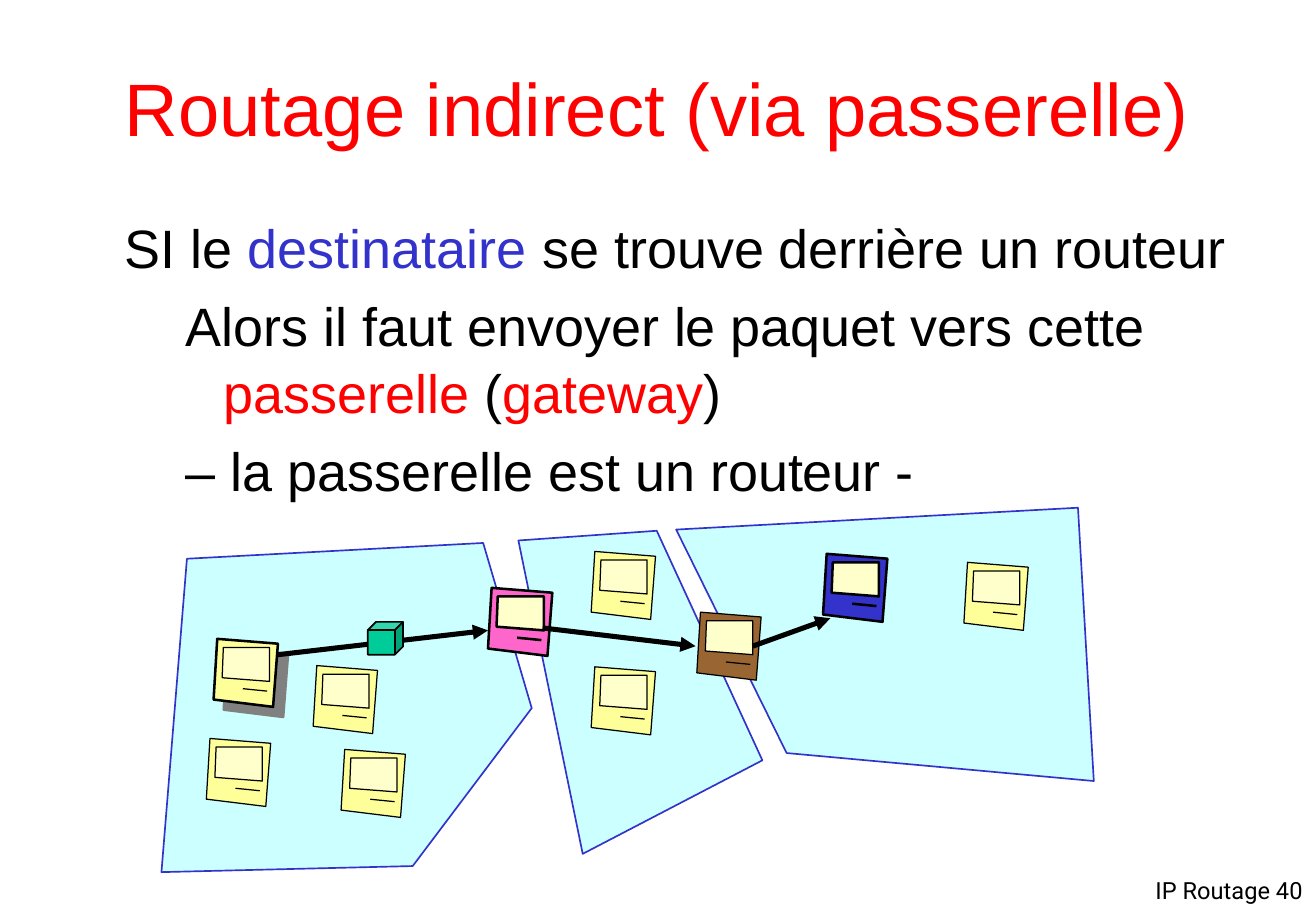
from lxml.etree import SubElement
from pptx import Presentation
from pptx.dml.color import RGBColor
from pptx.enum.shapes import MSO_CONNECTOR, MSO_SHAPE
from pptx.enum.text import MSO_ANCHOR, PP_ALIGN
from pptx.oxml.ns import qn
from pptx.util import Inches, Pt

COLORS = {
    "black": "000000", "red": "FF0000", "blue": "3333CC", "zone": "CCFFFF",
    "yellow": "FFFF99", "screen": "FFFFCC", "brown": "996633",
    "pink": "FF66CC", "green": "00CC99", "shade": "808080",
}


class Board:
    """Draw styled text and network parts on one slide."""

    def __init__(self, slide):
        self.slide = slide
        self.shapes = slide.shapes

    def color(self, name):
        return RGBColor.from_string(COLORS[name])

    def paint(self, shape, fill, line, width):
        shape.shadow.inherit = False
        shape.fill.solid()
        shape.fill.fore_color.rgb = self.color(fill)
        shape.line.color.rgb = self.color(line)
        shape.line.width = Pt(width)
        return shape

    def text(self, box, paras, size, font="Arial", align=PP_ALIGN.LEFT,
             anchor=MSO_ANCHOR.TOP, spacing=1.0):
        frame = self.shapes.add_textbox(*map(Inches, box)).text_frame
        frame.word_wrap = True
        frame.vertical_anchor = anchor
        for i, (margin, indent, before, runs) in enumerate(paras):
            para = frame.add_paragraph() if i else frame.paragraphs[0]
            para.alignment = align
            para.line_spacing = spacing
            if before:
                para.space_before = Pt(before)
            props = para._p.get_or_add_pPr()
            props.set("marL", str(Inches(margin)))
            props.set("indent", str(Inches(indent)))
            for words, color in runs:
                run = para.add_run()
                run.text = words
                run.font.size = Pt(size)
                run.font.name = font
                run.font.color.rgb = self.color(color)

    def outline(self, points, fill, line="black", width=0.75):
        spots = [(Inches(x), Inches(y)) for x, y in points]
        build = self.shapes.build_freeform(*spots[0], scale=1.0)
        build.add_line_segments(spots[1:], close=True)
        return self.paint(build.convert_to_shape(), fill, line, width)

    def line(self, start, end, width=0.75, arrow=False):
        link = self.shapes.add_connector(
            MSO_CONNECTOR.STRAIGHT, *map(Inches, (*start, *end)))
        link.line.color.rgb = self.color("black")
        link.line.width = Pt(width)
        props = link._element.spPr
        if arrow:
            SubElement(props.find(qn("a:ln")), qn("a:tailEnd"), type="triangle")
        SubElement(props, qn("a:effectLst"))

    def shade(self, shape):
        effects = shape._element.spPr.find(qn("a:effectLst"))
        shadow = SubElement(effects, qn("a:outerShdw"), blurRad="0",
                            dist=str(Pt(8.5)), dir="2700000", algn="ctr",
                            rotWithShape="0")
        SubElement(shadow, qn("a:srgbClr"), val=COLORS["shade"])

    def computer(self, left, top, fill="yellow", width=0.75, inner=0.75):
        def place(*points):
            return [(left + x, top + y) for x, y in points]

        case = self.outline(
            place((0, 0.5), (0.03, 0), (0.53, 0.04), (0.49, 0.56)),
            fill, width=width)
        self.outline(
            place((0.08, 0.07), (0.07, 0.32), (0.46, 0.35), (0.46, 0.07)),
            "screen", width=inner)
        self.line(*place((0.24, 0.41), (0.44, 0.43)), width=inner)
        return case

    def packet(self, box):
        cube = self.shapes.add_shape(MSO_SHAPE.CUBE, *map(Inches, box))
        cube.adjustments[0] = 0.25
        self.paint(cube, "green", "black", 1)


def main():
    deck = Presentation()
    deck.slide_width, deck.slide_height = Inches(10.84), Inches(7.5)
    board = Board(deck.slides.add_slide(deck.slide_layouts[6]))

    board.text((8.96, 7.18, 1.87, 0.36),
               [(0, 0, 0, [("IP Routage 40", "black")])],
               14, "Roboto", PP_ALIGN.RIGHT, spacing=0.96)
    board.text((0.81, 0.25, 9.21, 1.25),
               [(0, 0, 0, [("Routage indirect (via passerelle)", "red")])],
               44, align=PP_ALIGN.CENTER, anchor=MSO_ANCHOR.MIDDLE)
    board.text((0.93, 1.7, 9.3, 5.17), [
        (0.37, -0.37, 0, [("SI le ", "black"), ("destinataire", "blue"),
                          (" se trouve derrière un routeur", "black")]),
        (0.81, -0.31, 6.9, [
            ("Alors il faut envoyer le paquet vers cette ", "black"),
            ("passerelle ", "red"), ("(", "black"),
            ("gateway", "red"), (")", "black")]),
        (0.81, -0.31, 6.9, [("– la passerelle est un routeur -", "black")]),
    ], 32, spacing=1.03)

    zones = [
        [(5.57, 4.36), (8.88, 4.18), (9.01, 6.43), (6.48, 6.2)],
        [(1.54, 4.6), (3.98, 4.47), (4.38, 5.83), (3.4, 7.13), (1.33, 7.18)],
        [(4.27, 4.45), (5.41, 4.37), (6.28, 6.26), (4.8, 7.03)],
    ]
    for zone in zones:
        board.outline(zone, "zone", "blue", 1)

    board.shade(board.computer(1.76, 5.26, width=1.5))
    for left, top in [(2.58, 5.48), (1.7, 6.08), (2.81, 6.17),
                      (4.87, 4.54), (4.87, 5.49), (7.94, 4.63)]:
        board.computer(left, top)
    board.computer(5.74, 5.04, "brown")
    board.computer(4.02, 4.84, "pink", 1.5, 1.5)
    board.computer(6.78, 4.56, "blue", 1.5, 1.5)

    board.line((2.29, 5.39), (4.02, 5.19), 3, True)
    board.packet((3.03, 5.12, 0.29, 0.27))
    board.line((4.47, 5.17), (5.73, 5.32), 3, True)
    board.line((6.2, 5.32), (6.84, 5.09), 3, True)
    deck.save("out.pptx")


if __name__ == "__main__":
    main()
